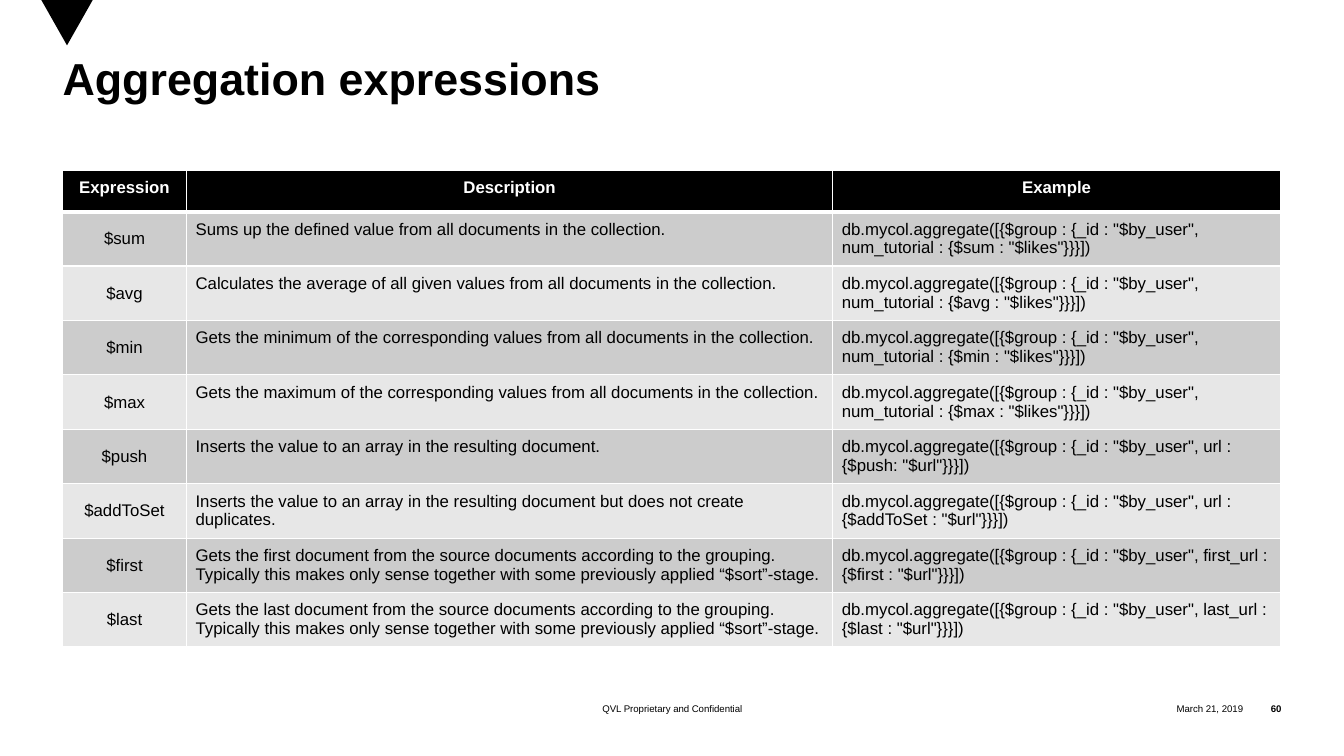
from lxml import etree
from pptx import Presentation
from pptx import util as u
from pptx.dml.color import RGBColor
from pptx.enum import text
from pptx.oxml import ns

BLACK = RGBColor(0x00, 0x00, 0x00)
WHITE = RGBColor(0xFF, 0xFF, 0xFF)
DARK_BAND = RGBColor(0xCC, 0xCC, 0xCC)
LIGHT_BAND = RGBColor(0xE7, 0xE7, 0xE7)
FONT = "Arial"
LEFT, CENTER, RIGHT = text.PP_ALIGN.LEFT, text.PP_ALIGN.CENTER, text.PP_ALIGN.RIGHT
TOP, MIDDLE = text.MSO_ANCHOR.TOP, text.MSO_ANCHOR.MIDDLE

SLIDE_SIZE = (13.33, 7.5)
TRIANGLE_BOX = (0.41, 0, 0.51, 0.45)
TITLE_BOX = (0.62, 0.58, 12.08, 1.29)
TABLE_BOX = (0.62, 1.69, 12.08, 4.73)
FOOTER_BOX = (4.38, 6.91, 8.33, 0.25)
COLUMNS = (1.23, 6.41, 4.44)
HEADER_HEIGHT = 0.41

HEADINGS = ("Expression", "Description", "Example")
SORT_HINT = "Typically this makes only sense together with some previously applied “$sort”-stage."
EXPRESSIONS = (
    ("$sum", "Sums up the defined value from all documents in the collection.",
     'num_tutorial : {$sum : "$likes"}'),
    ("$avg", "Calculates the average of all given values from all documents in the collection.",
     'num_tutorial : {$avg : "$likes"}'),
    ("$min", "Gets the minimum of the corresponding values from all documents in the collection.",
     'num_tutorial : {$min : "$likes"}'),
    ("$max", "Gets the maximum of the corresponding values from all documents in the collection.",
     'num_tutorial : {$max : "$likes"}'),
    ("$push", "Inserts the value to an array in the resulting document.",
     'url : {$push: "$url"}'),
    ("$addToSet",
     "Inserts the value to an array in the resulting document but does not create duplicates.",
     'url : {$addToSet : "$url"}'),
    ("$first", "Gets the first document from the source documents according to the grouping. "
     + SORT_HINT, 'first_url : {$first : "$url"}'),
    ("$last", "Gets the last document from the source documents according to the grouping. "
     + SORT_HINT, 'last_url : {$last : "$url"}'),
)


def inches(box):
    """Convert the lengths of a box to slide units."""
    return [u.Inches(length) for length in box]


def write(frame, words, size, color=BLACK, bold=False, align=LEFT):
    """Fill a text frame with one formatted paragraph."""
    frame.text = words
    para = frame.paragraphs[0]
    para.alignment = align
    for span in para.runs:
        span.font.name = FONT
        span.font.size = u.Pt(size)
        span.font.bold = bold
        span.font.color.rgb = color
    return para


def clear_margins(frame):
    """Remove the inner margins of a text frame."""
    frame.margin_left = frame.margin_top = frame.margin_right = frame.margin_bottom = 0


def draw_triangle(page, box):
    """Draw the triangle that points down from the top edge."""
    left, top, width, height = inches(box)
    builder = page.shapes.build_freeform(left, top)
    builder.add_line_segments([(left + width // 2, top + height), (left + width, top)])
    triangle = builder.convert_to_shape()
    triangle.shadow.inherit = False
    triangle.fill.solid()
    triangle.fill.fore_color.rgb = BLACK
    triangle.line.fill.background()


def place_title(page, box):
    """Move and format the title placeholder."""
    title = page.shapes.title
    title.left, title.top, title.width, title.height = inches(box)
    frame = title.text_frame
    clear_margins(frame)
    frame.auto_size = text.MSO_AUTO_SIZE.NONE
    frame.vertical_anchor = TOP
    write(frame, "Aggregation expressions", 32, bold=True).line_spacing = 0.85


def add_borders(cell, top, bottom):
    """Draw white cell borders with the given top and bottom widths."""
    properties = cell._tc.get_or_add_tcPr()
    for side, width in (("L", 1), ("R", 1), ("T", top), ("B", bottom)):
        line = etree.SubElement(properties, ns.qn("a:ln" + side), w=str(u.Pt(width)))
        fill = etree.SubElement(line, ns.qn("a:solidFill"))
        etree.SubElement(fill, ns.qn("a:srgbClr"), val=str(WHITE))


def format_cell(cell, words, row, column):
    """Write one table cell in the style of its row and column."""
    header = row == 0
    cell.margin_left = cell.margin_right = u.Inches(0.09)
    cell.margin_top = cell.margin_bottom = u.Inches(0.08)
    cell.vertical_anchor = MIDDLE if column == 0 and not header else TOP
    add_borders(cell, 3 if row == 1 else 1, 3 if header else 1)
    cell.fill.solid()
    cell.fill.fore_color.rgb = BLACK if header else (LIGHT_BAND, DARK_BAND)[row % 2]
    write(cell.text_frame, words, 12, WHITE if header else BLACK, header,
          CENTER if header or column == 0 else LEFT)


def add_expression_table(page, box):
    """Add the table of expressions with its header row."""
    records = [HEADINGS] + [
        (name, description, 'db.mycol.aggregate([{$group : {_id : "$by_user", ' + field + "}}])")
        for name, description, field in EXPRESSIONS]
    table = page.shapes.add_table(len(records), len(COLUMNS), *inches(box)).table
    for column, width in zip(table.columns, COLUMNS):
        column.width = u.Inches(width)
    body_height = (box[3] - HEADER_HEIGHT) / len(EXPRESSIONS)
    for row, record in enumerate(records):
        table.rows[row].height = u.Inches(body_height if row else HEADER_HEIGHT)
        for column, words in enumerate(record):
            format_cell(table.cell(row, column), words, row, column)


def add_footer(page, box):
    """Add the notice, the date and the page number along the bottom."""
    left, top, width, height = box
    parts = (
        ("QVL Proprietary and Confidential", 0, 4.58, CENTER, False),
        ("March 21, 2019", width - 1.87, 1.49, RIGHT, False),
        ("60", width - 0.38, 0.38, RIGHT, True),
    )
    for words, offset, span_width, align, bold in parts:
        label = page.shapes.add_textbox(*inches((left + offset, top, span_width, height)))
        frame = label.text_frame
        frame.word_wrap = True
        frame.vertical_anchor = MIDDLE
        clear_margins(frame)
        write(frame, words, 6.9, bold=bold, align=align)


def main():
    """Build the slide and save the deck."""
    deck = Presentation()
    deck.slide_width, deck.slide_height = inches(SLIDE_SIZE)
    page = deck.slides.add_slide(deck.slide_layouts[5])
    draw_triangle(page, TRIANGLE_BOX)
    place_title(page, TITLE_BOX)
    add_expression_table(page, TABLE_BOX)
    add_footer(page, FOOTER_BOX)
    deck.save("out.pptx")


if __name__ == "__main__":
    main()
